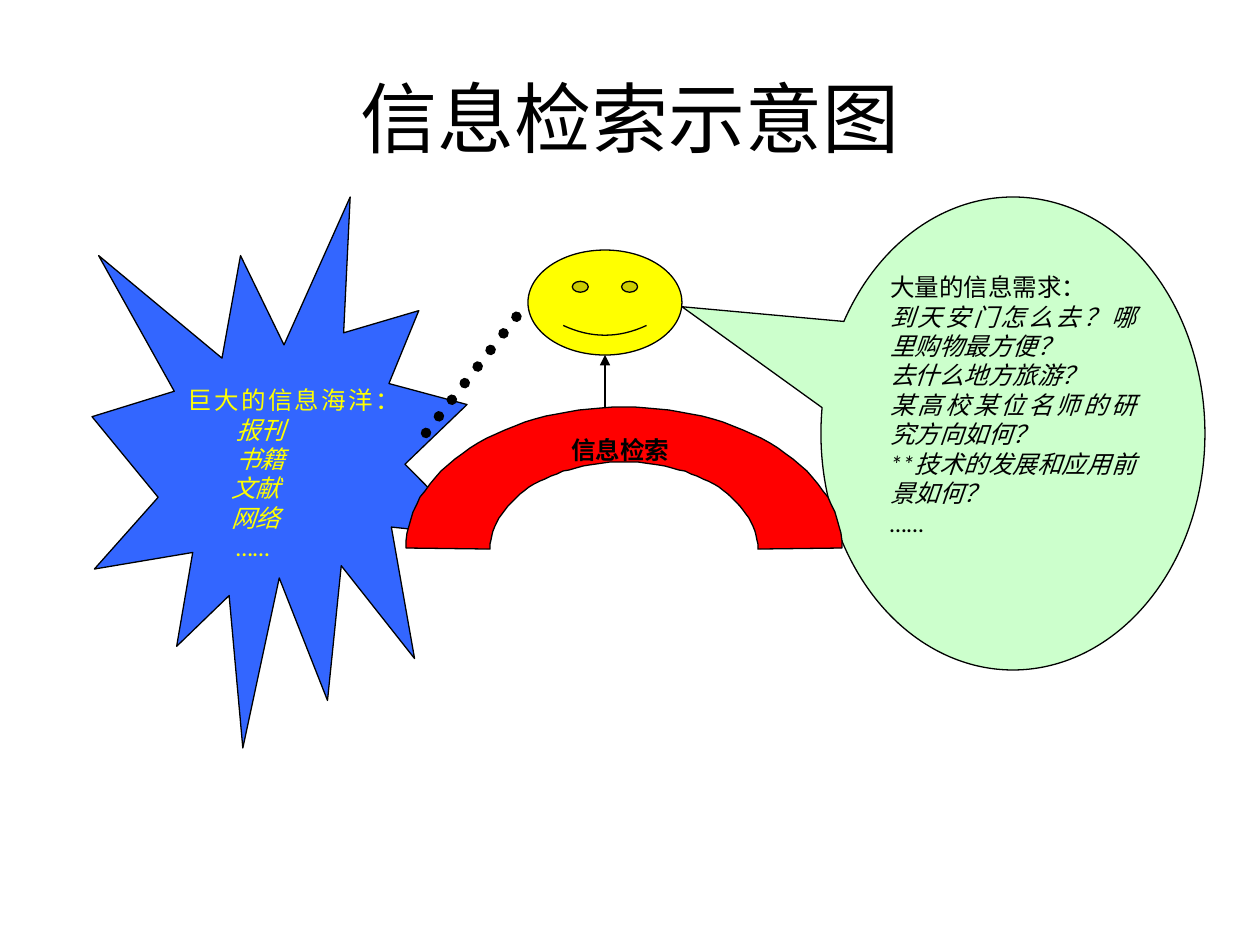
import math

from lxml import etree
from pptx import Presentation
from pptx.dml.color import RGBColor
from pptx.enum.dml import MSO_LINE
from pptx.enum.shapes import MSO_CONNECTOR, MSO_SHAPE
from pptx.enum.text import MSO_ANCHOR, PP_ALIGN
from pptx.oxml.ns import qn
from pptx.util import Pt

PX = 7257.14  # EMU per pixel, 126 pixels to the inch
BLACK = RGBColor(0x00, 0x00, 0x00)
YELLOW = RGBColor(0xFF, 0xFF, 0x00)
GREEN = RGBColor(0xCC, 0xFF, 0xCC)
BLUE = RGBColor(0x33, 0x66, 0xFF)
RED = RGBColor(0xFF, 0x00, 0x00)

STRAIGHT = MSO_CONNECTOR.STRAIGHT
ROUND_DOT = MSO_LINE.ROUND_DOT
TOP, MIDDLE = MSO_ANCHOR.TOP, MSO_ANCHOR.MIDDLE
CENTER, JUSTIFY = PP_ALIGN.CENTER, PP_ALIGN.JUSTIFY
SMILEY = MSO_SHAPE.SMILEY_FACE
CALLOUT = MSO_SHAPE.OVAL_CALLOUT
BURST = MSO_SHAPE.EXPLOSION1

NEEDS = [
    "到天安门怎么去？哪里购物最方便？",
    "去什么地方旅游？",
    "某高校某位名师的研究方向如何？",
    "**技术的发展和应用前景如何？",
    "……",
]
SOURCES = [("报刊", 49), ("书籍", 49), ("文献", 44), ("网络", 44), ("……", 49)]


def px(length):
    return round(length * PX)


def set_frame(shape, anchor=TOP, **margins):
    """Set anchor, wrapping and insets in pixels."""
    frame = shape.text_frame
    frame.word_wrap = True
    frame.vertical_anchor = anchor
    insets = {"left": 13, "right": 13, "top": 6, "bottom": 6} | margins
    for side, length in insets.items():
        setattr(frame, f"margin_{side}", px(length))


def write_lines(shape, lines, alignment, **common):
    """Write (text, indent in pixels, font values) as one paragraph each."""
    frame = shape.text_frame
    for index, (text, indent, values) in enumerate(lines):
        paragraph = frame.add_paragraph() if index else frame.paragraphs[0]
        paragraph.alignment = alignment
        if indent:
            paragraph._p.get_or_add_pPr().set("marL", str(px(indent)))
        run = paragraph.add_run()
        run.text = text
        font_values = {"name": "Calibri", "size": Pt(14)} | common | values
        color = font_values.pop("color", BLACK)
        for name, value in font_values.items():
            setattr(run.font, name, value)
        run.font.color.rgb = color


def paint(shape, color):
    shape.shadow.inherit = False
    shape.fill.solid()
    shape.fill.fore_color.rgb = color
    shape.line.color.rgb = BLACK
    shape.line.width = Pt(0.75)


def add_preset(slide, kind, box, color, adjustments=()):
    shape = slide.shapes.add_shape(kind, *map(px, box))
    for index, value in enumerate(adjustments):
        shape.adjustments[index] = value
    paint(shape, color)
    return shape


def half_ellipse(center_x, base_y, radius_x, radius_y, steps=60):
    """Return points over the top of an ellipse, from left to right."""
    angles = [math.pi * (1 - step / steps) for step in range(steps + 1)]
    return [(center_x + radius_x * math.cos(angle),
             base_y - radius_y * math.sin(angle)) for angle in angles]


def add_arch(slide):
    outer = half_ellipse(624, 548, 218, 141)
    inner = half_ellipse(624, 549, 134, 87)
    start, *others = outer + inner[::-1]
    builder = slide.shapes.build_freeform(*start, scale=PX)
    builder.add_line_segments(others, close=True)
    shape = builder.convert_to_shape()
    paint(shape, RED)
    return shape


def add_line(slide, start, end, width):
    line = slide.shapes.add_connector(STRAIGHT, *map(px, (*start, *end)))
    line.line.color.rgb = BLACK
    line.line.width = Pt(width)
    etree.SubElement(line._element.spPr, qn("a:effectLst"))
    return line


def add_title(slide, text):
    title = slide.shapes.add_textbox(*map(px, (63, 38, 1134, 158)))
    set_frame(title, MIDDLE)
    write_lines(title, [(text, 0, {})], CENTER, size=Pt(44))


def add_needs(slide):
    callout = add_preset(slide, CALLOUT, (821, 197, 384, 473), GREEN, (-0.862, -0.268))
    set_frame(callout)
    lines = [("大量的信息需求：", 0, {})]
    lines += [(text, 0, {"italic": True}) for text in NEEDS]
    write_lines(callout, lines, JUSTIFY)


def add_sources(slide):
    burst = add_preset(slide, BURST, (92, 197, 384, 551), BLUE)
    set_frame(burst, top=27, bottom=0)
    lines = [("巨大的信息海洋：", 0, {})]
    lines += [(text, indent, {"italic": True}) for text, indent in SOURCES]
    write_lines(burst, lines, JUSTIFY, color=YELLOW)


def add_retrieval(slide):
    """Add the arch with its label and the arrow up to the face."""
    arch = add_arch(slide)
    set_frame(arch, top=28, right=20)
    write_lines(arch, [("信息检索", 0, {"bold": True})], CENTER)
    arrow = add_line(slide, (605, 407), (605, 355), 1.5)
    etree.SubElement(arrow.line._get_or_add_ln(), qn("a:tailEnd"), type="triangle")


def main():
    presentation = Presentation()
    presentation.slide_width = px(1260)
    presentation.slide_height = px(945)
    slide = presentation.slides.add_slide(presentation.slide_layouts[6])

    add_title(slide, "信息检索示意图")
    add_preset(slide, SMILEY, (528, 250, 154, 105), YELLOW, (0.047,))
    add_needs(slide)
    add_sources(slide)
    dots = add_line(slide, (426, 433), (528, 302), 6)
    dots.line.dash_style = ROUND_DOT
    dots.line._get_or_add_ln().set("cap", "rnd")
    add_retrieval(slide)

    presentation.save("out.pptx")


if __name__ == "__main__":
    main()
